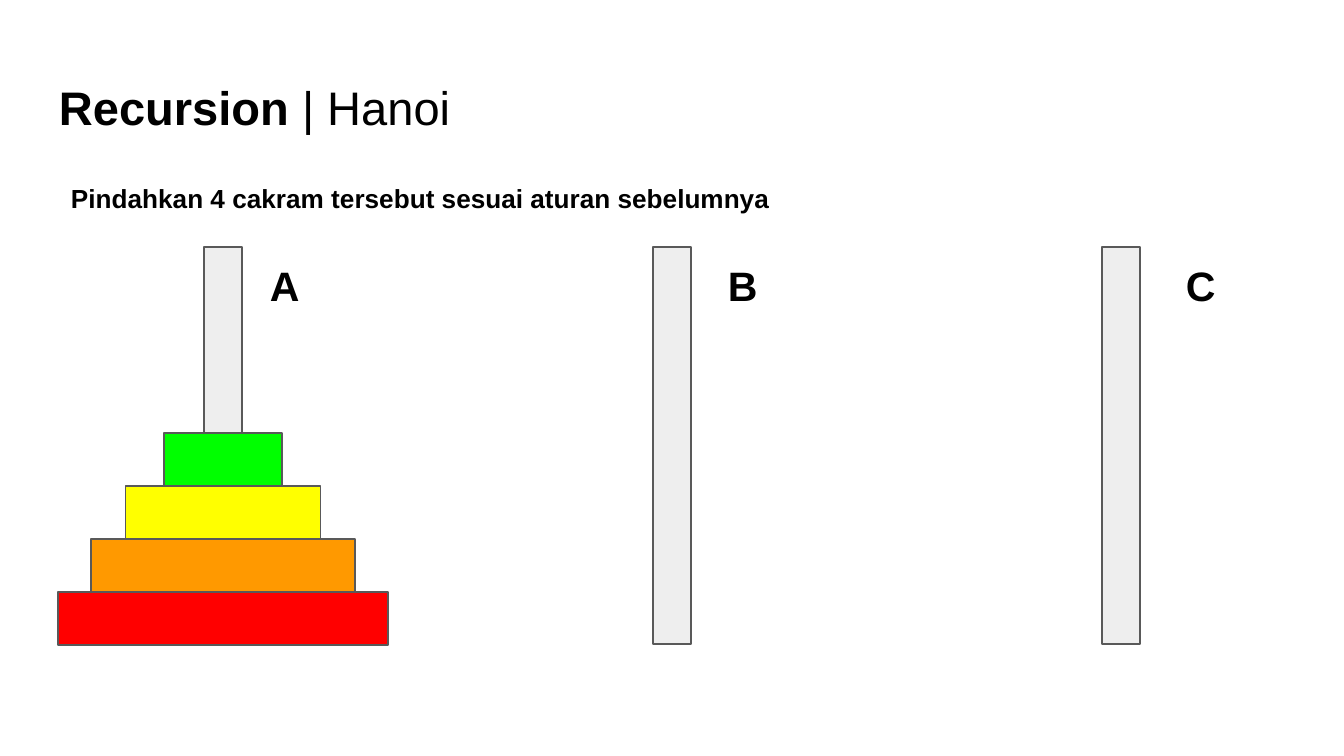
from pptx import Presentation
from pptx.dml.color import RGBColor
from pptx.enum.shapes import MSO_SHAPE
from pptx.util import Emu, Pt

RECT = MSO_SHAPE.RECTANGLE
SCALE = 9144000 / 1344
BLACK = RGBColor(0x00, 0x00, 0x00)
GREY = RGBColor(0x59, 0x59, 0x59)
PALE = RGBColor(0xEE, 0xEE, 0xEE)
RED = RGBColor(0xFF, 0x00, 0x00)
ORANGE = RGBColor(0xFF, 0x99, 0x00)
YELLOW = RGBColor(0xFF, 0xFF, 0x00)
GREEN = RGBColor(0x00, 0xFF, 0x00)


def px(*nums):
    """Turn pixel lengths into EMU."""
    return [Emu(round(num * SCALE)) for num in nums]


def write(para, text, size=14, bold=True, color=BLACK, font="Arial"):
    """Add a formatted run to a paragraph."""
    run = para.add_run()
    run.text = text
    run.font.size = Pt(size)
    run.font.bold = bold
    run.font.name = font
    run.font.color.rgb = color


class Board:
    """Hold the style and the current slide."""

    def __init__(self, slide, edge=GREY, width=0.75, inset=13):
        """Keep the slide, outline and text inset."""
        self.slide = slide
        self.edge = edge
        self.width = Pt(width)
        self.inset = px(inset)[0]

    def block(self, left, top, wide, high, fill):
        """Draw an outlined rectangle."""
        shape = self.slide.shapes.add_shape(RECT, *px(left, top, wide, high))
        shape.shadow.inherit = False
        shape.fill.solid()
        shape.fill.fore_color.rgb = fill
        shape.line.color.rgb = self.edge
        shape.line.width = self.width

    def label(self, left, top, wide, high):
        """Add a text box and return its paragraph."""
        frame = self.slide.shapes.add_textbox(*px(left, top, wide, high)).text_frame
        frame.word_wrap = True
        frame.margin_left = frame.margin_right = self.inset
        frame.margin_top = frame.margin_bottom = self.inset
        return frame.paragraphs[0]


def main():
    """Build the Hanoi slide."""
    deck = Presentation()
    deck.slide_width, deck.slide_height = px(1344, 756)
    board = Board(deck.slides.add_slide(deck.slide_layouts[6]))

    title = board.label(46, 66, 1253, 85)
    write(title, "Recursion ", size=25.2)
    write(title, "| Hanoi", size=25.2, bold=False)

    top, rod, tall, base, thick = 247, 38, 397, 645, 53
    first, step = 223, 449
    for col in range(3):
        board.block(first + col * step - rod / 2, top, rod, tall, PALE)

    disks = [(330, RED), (264, ORANGE), (195, YELLOW), (118, GREEN)]
    for row, (wide, fill) in enumerate(disks, 1):
        board.block(first - wide / 2, base - row * thick, wide, thick, fill)

    write(board.label(58, 169, 1050, 59),
          "Pindahkan 4 cakram tersebut sesuai aturan sebelumnya")
    for col, name in enumerate("ABC"):
        write(board.label(257 + col * 458, top, 78, 77), name, size=22)

    deck.save("out.pptx")


if __name__ == "__main__":
    main()
